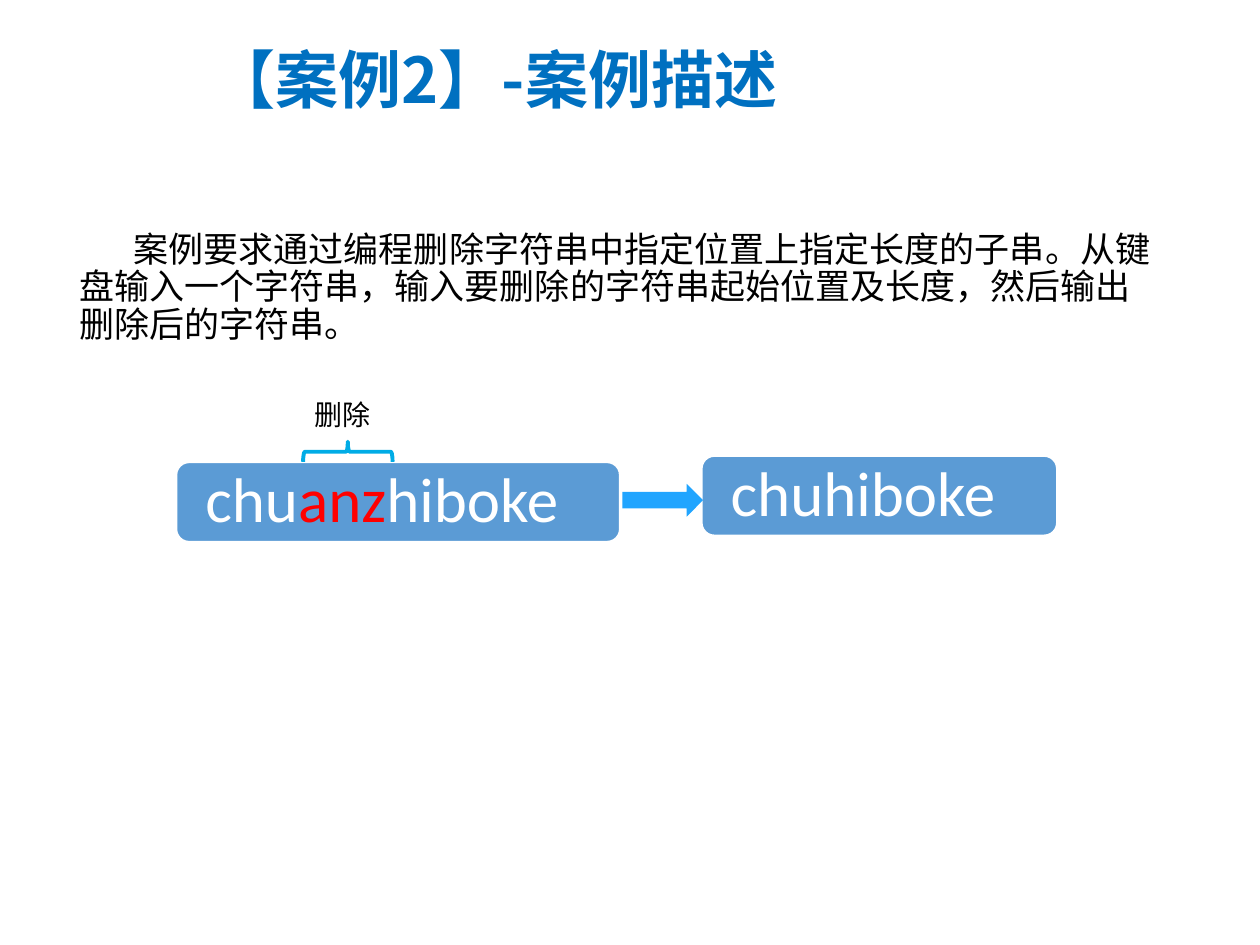
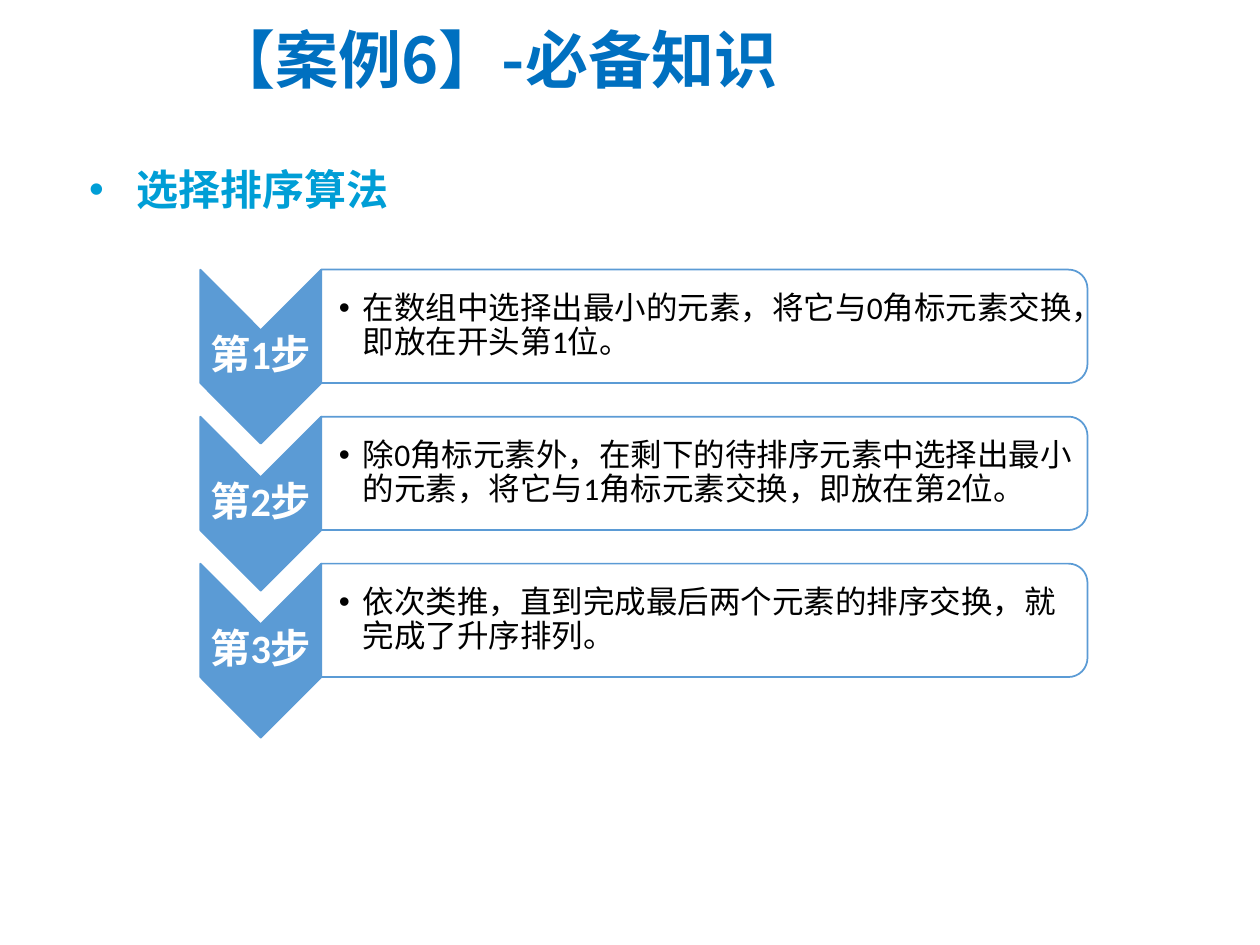
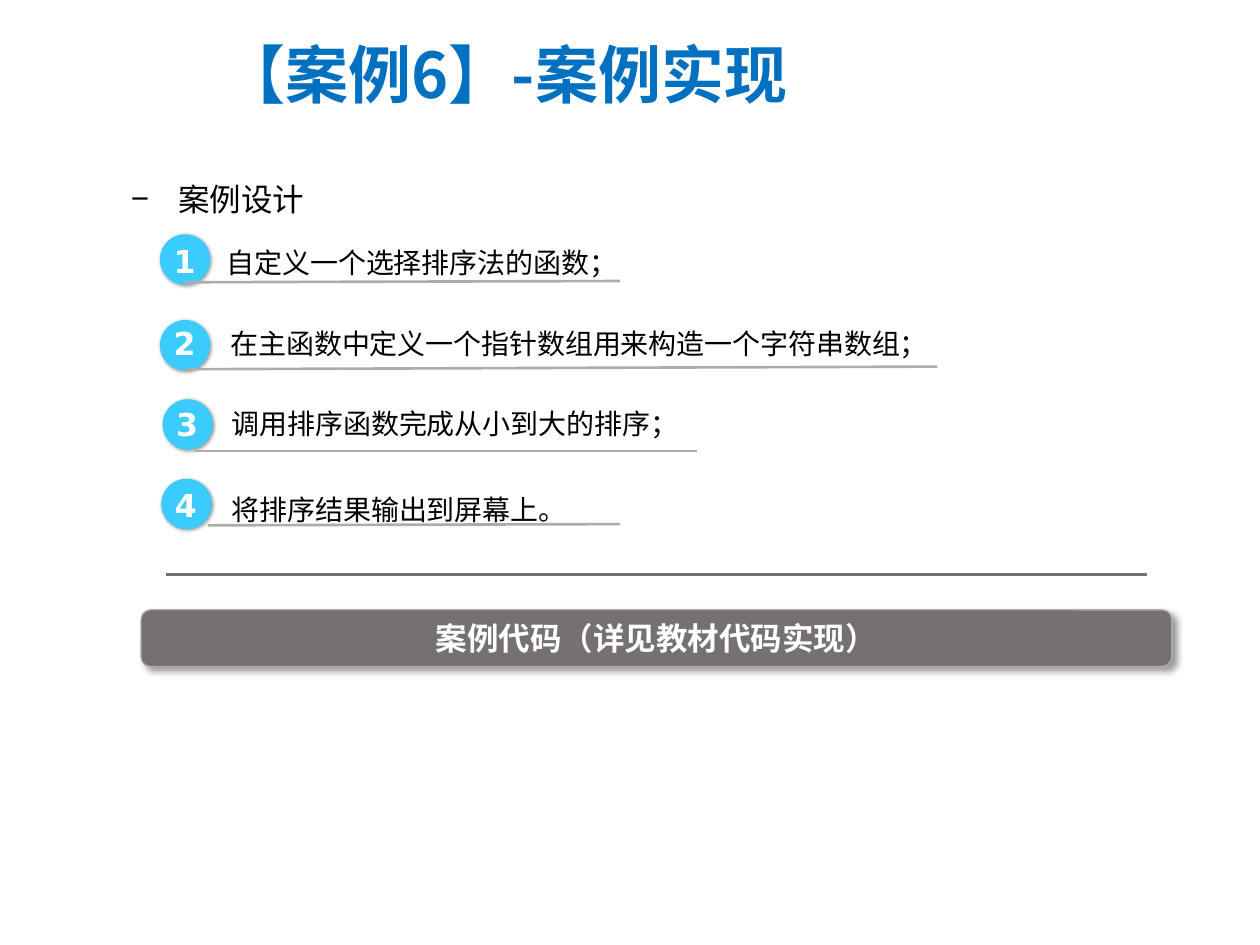
from math import cos, radians, sin

from lxml.etree import SubElement as Sub
from pptx import Presentation
from pptx.dml.color import RGBColor
from pptx.enum.shapes import MSO_CONNECTOR as Link, MSO_SHAPE as Kind
from pptx.enum.text import MSO_ANCHOR as Anchor, PP_ALIGN as Align
from pptx.oxml.ns import qn
from pptx.util import Pt

rgb = RGBColor.from_string
WHITE, BLACK, RED = "FFFFFF", "000000", "FF0000"
TITLE, BLUE, CYAN = "0070C0", "5B9BD5", "3BCCFF"
DARK, GRAY = "767171", "AFABAB"
CJK = "Noto Sans CJK SC"


def text(shape, *runs, size=16, color=BLACK, face="Calibri", bold=False,
         align=Align.LEFT, anchor=Anchor.TOP, pad=(7.2, 3.6, 7.2, 3.6),
         wrap=True, lead=None, bullet=None, hang=0, first=0):
    frame = shape.text_frame
    frame.word_wrap = wrap
    frame.vertical_anchor = anchor
    frame.margin_left, frame.margin_top, frame.margin_right, frame.margin_bottom = map(Pt, pad)
    para = frame.paragraphs[0]
    para.alignment = align
    if lead:
        para.line_spacing = lead
    prop = para._p.get_or_add_pPr()
    prop.set("marL", str(Pt(hang)))
    prop.set("indent", str(Pt(first - hang)))
    if bullet:
        Sub(prop, qn("a:buFont"), typeface="Arial")
        Sub(prop, qn("a:buChar"), char=bullet)
    for part in runs:
        words, tint = part if isinstance(part, tuple) else (part, color)
        run = para.add_run()
        run.text = words
        run.font.size = Pt(size)
        run.font.bold = bold
        run.font.color.rgb = rgb(tint)
        run.font.name = face
        Sub(run._r.get_or_add_rPr(), qn("a:ea"), typeface=CJK)


def paint(shape, fill=None, line=None, width=1, blur=0, dist=0):
    shape.shadow.inherit = False
    if fill:
        shape.fill.solid()
        shape.fill.fore_color.rgb = rgb(fill)
    else:
        shape.fill.background()
    if line:
        shape.line.color.rgb = rgb(line)
        shape.line.width = Pt(width)
    else:
        shape.line.fill.background()
    if blur:
        glow = Sub(shape._element.spPr.find(qn("a:effectLst")), qn("a:outerShdw"),
                   blurRad=str(Pt(blur)), dist=str(Pt(dist)), dir="2700000",
                   algn="tl", rotWithShape="0")
        tone = Sub(glow, qn("a:srgbClr"), val=BLACK)
        Sub(tone, qn("a:alpha"), val="40000")


deck = Presentation()
deck.slide_width, deck.slide_height = Pt(720), Pt(540)

titles = [
    ("【案例2】-案例描述", 114.5, 14.4),
    ("【案例6】-必备知识", 114.5, 2.9),
    ("【案例6】-案例实现", 120.2, 11.5),
]
pages = []
for name, x, y in titles:
    page = deck.slides.add_slide(deck.slide_layouts[6]).shapes
    text(page.add_textbox(Pt(x), Pt(y), Pt(446), Pt(60.5)), name,
         size=36, color=TITLE, face=CJK, bold=True, anchor=Anchor.MIDDLE)
    pages.append(page)
case, sort, plan = pages

text(case.add_textbox(Pt(38.2), Pt(128.9), Pt(627.8), Pt(78.5)),
     "案例要求通过编程删除字符串中指定位置上指定长度的子串。从键盘输入一个字符串，"
     "输入要删除的字符串起始位置及长度，然后输出删除后的字符串。",
     size=20, lead=0.9, first=31)

words = [
    (100.8, 264.2, 253.4, ["chu", ("anz", RED), "hiboke"]),
    (401, 260.6, 203, ["chuhiboke"]),
]
for x, y, w, runs in words:
    box = case.add_shape(Kind.ROUNDED_RECTANGLE, Pt(x), Pt(y), Pt(w), Pt(45.4))
    box.adjustments[0] = 0.16
    paint(box, BLUE, WHITE)
    text(box, *runs, size=36, color=WHITE, anchor=Anchor.MIDDLE, pad=[14.4] * 4, lead=0.9)

brace = case.add_shape(Kind.LEFT_BRACE, Pt(193), Pt(232.6), Pt(11.5), Pt(51.1))
brace.rotation = 90
paint(brace, line="00ACE6", width=2.25)
text(case.add_textbox(Pt(172.8), Pt(223.9), Pt(49.7), Pt(24.5)), "删除")
paint(case.add_shape(Kind.RIGHT_ARROW, Pt(355.7), Pt(276.5), Pt(46.1), Pt(18.7)), "21A5FF")

text(sort.add_textbox(Pt(43.9), Pt(75.6), Pt(188), Pt(45.4)), "选择排序算法",
     size=24, color="009ED6", bold=True, wrap=False, lead=1.5, bullet="•", hang=27)

steps = [
    "在数组中选择出最小的元素，将它与0角标元素交换，即放在开头第1位。",
    "除0角标元素外，在剩下的待排序元素中选择出最小的元素，将它与1角标元素交换，即放在第2位。",
    "依次类推，直到完成最后两个元素的排序交换，就完成了升序排列。",
]
left, mid, right, edge = 114.5, 149, 183.6, 621.4
tall, tip, curve = 64.8, 34.6, 10.8
for i, step in enumerate(steps):
    top = 154.1 + 84 * i
    low = top + tall
    flag = [(right, top), (right, low), (mid, low + tip),
            (left, low), (left, top), (mid, top + tip)]
    panel = [(right, low), (right, top)]
    for turn, y in ((-90, top + curve), (0, low - curve)):
        for k in range(9):
            a = radians(turn + 90 * k / 8)
            panel.append((edge - curve + curve * cos(a), y + curve * sin(a)))
    forms = []
    for dots, fill in ((flag, BLUE), (panel, WHITE)):
        spots = [(Pt(x), Pt(y)) for x, y in dots]
        path = sort.build_freeform(*spots[0])
        path.add_line_segments(spots[1:])
        form = path.convert_to_shape()
        paint(form, fill, BLUE)
        forms.append(form)
    text(forms[0], f"第{i + 1}步", size=23, color=WHITE, bold=True, align=Align.CENTER,
         anchor=Anchor.MIDDLE, pad=(1.4, 36, 1.4, 36), lead=0.9)
    text(forms[1], step, size=18, anchor=Anchor.MIDDLE, pad=(10.1, 4.3, 4.3, 4.3),
         lead=0.9, bullet="•", hang=13.7)

bar = plan.add_shape(Kind.ROUNDED_RECTANGLE, Pt(80.6), Pt(348.5), Pt(589), Pt(32.4))
paint(bar, DARK, GRAY, 0.75, blur=4, dist=3)
text(bar, "案例代码（详见教材代码实现）", size=18, color=WHITE, bold=True,
     align=Align.CENTER, anchor=Anchor.MIDDLE)
text(plan.add_textbox(Pt(67.7), Pt(88.6), Pt(612.7), Pt(34.6)), "案例设计",
     size=18, face="Arial", lead=1.5, bullet="−", hang=27)

tasks = [
    ("自定义一个选择排序法的函数；", 91.4, 133.9, 134.6, 122.4, 131, 240.5),
    ("在主函数中定义一个指针数组用来构造一个字符串数组；", 91.4, 182.9, 181.4, 124.6, 177.1, 418.3),
    ("调用排序函数完成从小到大的排序；", 92.9, 228.2, 228.2, 125.3, 223.2, 272.9),
    ("将排序结果输出到屏幕上。", 92.2, 273.6, 274.3, 125.3, 272.2, 208.1),
]
for i, (task, x, y, high, tx, ty, w) in enumerate(tasks, 1):
    paint(plan.add_shape(Kind.OVAL, Pt(x), Pt(y), Pt(28.8), Pt(28.8)), CYAN, blur=2, dist=1)
    text(plan.add_textbox(Pt(x + 0.7), Pt(high), Pt(27.4), Pt(28.8)), str(i),
         size=18, color=WHITE, face="DejaVu Sans", bold=True, wrap=False)
    text(plan.add_textbox(Pt(tx), Pt(ty), Pt(w), Pt(32)), task, wrap=False, lead=1.3)

rules = [
    (105.1, 161.3, 354.2, 160.6, GRAY, 1.5),
    (106.6, 211, 535.7, 209.5, GRAY, 1.5),
    (111.6, 257.8, 398.2, 257.8, GRAY, 1.5),
    (118.8, 300.2, 354.2, 299.5, GRAY, 1.5),
    (95, 328.3, 655.2, 328.3, DARK, 2.25),
]
for *ends, color, width in rules:
    rule = plan.add_connector(Link.STRAIGHT, *map(Pt, ends))
    rule.line.color.rgb = rgb(color)
    rule.line.width = Pt(width)
    Sub(rule._element.spPr, qn("a:effectLst"))

deck.save("out.pptx")
